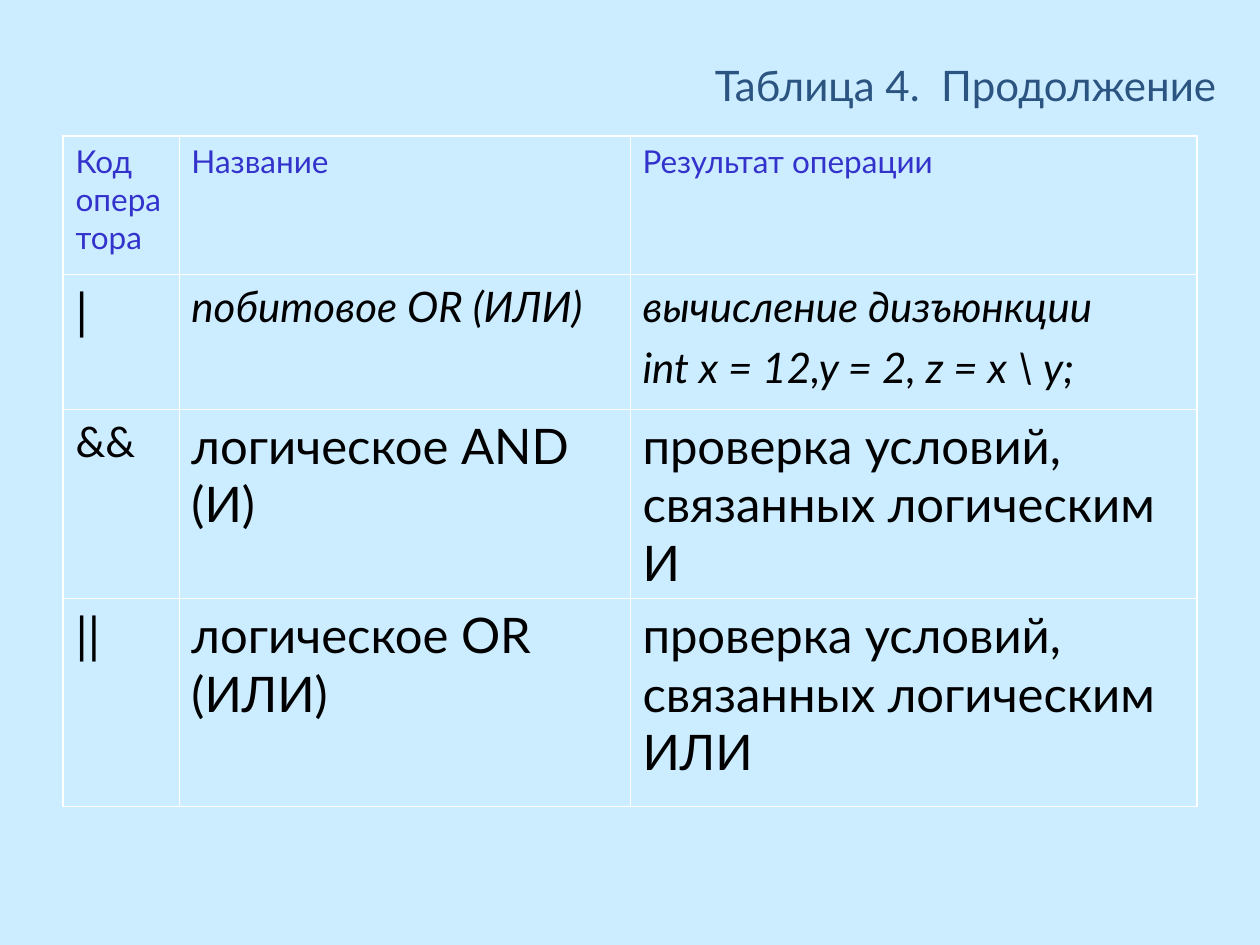
from lxml import etree
from pptx import Presentation
from pptx.dml.color import RGBColor
from pptx.enum.text import PP_ALIGN
from pptx.oxml.ns import qn
from pptx.util import Emu, Pt

PX = 9144  # EMU per px, 100 px to the inch
RIGHT = PP_ALIGN.RIGHT

SKY = RGBColor(0xCC, 0xEC, 0xFF)
NAVY = RGBColor(0x2B, 0x54, 0x81)
BLUE = RGBColor(0x33, 0x33, 0xCC)
BLACK = RGBColor(0, 0, 0)
WHITE = RGBColor(0xFF, 0xFF, 0xFF)

OUTER, INNER = 1.08, 0.45  # border widths, pt

COLUMNS = [92, 358, 450]
ROWS = [110, 107, 150, 165]
# Each cell: text, size, colour, italic
CELLS = [
    [("Код оператора", 18, BLUE, False),
     ("Название", 18, BLUE, False),
     ("Результат операции", 18, BLUE, False)],
    [("|", 28, BLACK, False),
     ("побитовое OR (ИЛИ)", 24, BLACK, True),
     ("вычисление дизъюнкции\nint x = 12,y = 2, z = x \\ y;", 24, BLACK, True)],
    [("&&", 24, BLACK, False),
     ("логическое AND (И)", 28, BLACK, False),
     ("проверка условий, связанных логическим И", 28, BLACK, False)],
    [("||", 28, BLACK, False),
     ("логическое OR (ИЛИ)", 28, BLACK, False),
     ("проверка условий, связанных логическим ИЛИ", 28, BLACK, False)],
]


def px(n):
    return Emu(n * PX)


class SlideBuilder:
    font = "Lato"
    para_gap = Pt(6)

    def __init__(self, prs):
        self.s = prs.slides.add_slide(prs.slide_layouts[6])
        fill = self.s.background.fill
        fill.solid()
        fill.fore_color.rgb = SKY

    def set_text(self, tf, text, size, color, italic=False, align=None):
        tf.word_wrap = True
        tf.text = text
        for i, p in enumerate(tf.paragraphs):
            p.alignment = align
            if i:
                p.space_before = self.para_gap
            p.font.name = self.font
            p.font.size = Pt(size)
            p.font.italic = italic
            p.font.color.rgb = color

    def text(self, x, y, w, h, text, size, color, align):
        sp = self.s.shapes.add_textbox(px(x), px(y), px(w), px(h))
        self.set_text(sp.text_frame, text, size, color, align=align)

    def border(self, cell, side, width):
        ln = etree.SubElement(cell._tc.get_or_add_tcPr(), qn("a:ln" + side), w=str(Pt(width)))
        fill = etree.SubElement(ln, qn("a:solidFill"))
        etree.SubElement(fill, qn("a:srgbClr"), val=str(WHITE))

    def table(self, x, y, columns, rows, cells):
        tbl = self.s.shapes.add_table(len(rows), len(columns), px(x), px(y),
                                      px(sum(columns)), px(sum(rows))).table
        tbl.first_row = tbl.horz_banding = False
        for col, w in zip(tbl.columns, columns):
            col.width = px(w)
        for row, h in zip(tbl.rows, rows):
            row.height = px(h)
        for r, line in enumerate(cells):
            for c, (text, size, color, italic) in enumerate(line):
                cell = tbl.cell(r, c)
                self.set_text(cell.text_frame, text, size, color, italic)
                edges = {"L": c == 0, "R": c == len(columns) - 1,
                         "T": r == 0, "B": r == len(rows) - 1}
                for side, on_edge in edges.items():
                    self.border(cell, side, OUTER if on_edge else INNER)
                cell.fill.background()


def main():
    prs = Presentation()
    prs.slide_width, prs.slide_height = px(1000), px(750)
    s = SlideBuilder(prs)

    # Heading
    s.text(17, 42, 958, 50, "Таблица 4.  Продолжение", 24, NAVY, RIGHT)

    # Operators
    s.table(50, 108, COLUMNS, ROWS, CELLS)

    prs.save("out.pptx")


if __name__ == "__main__":
    main()
